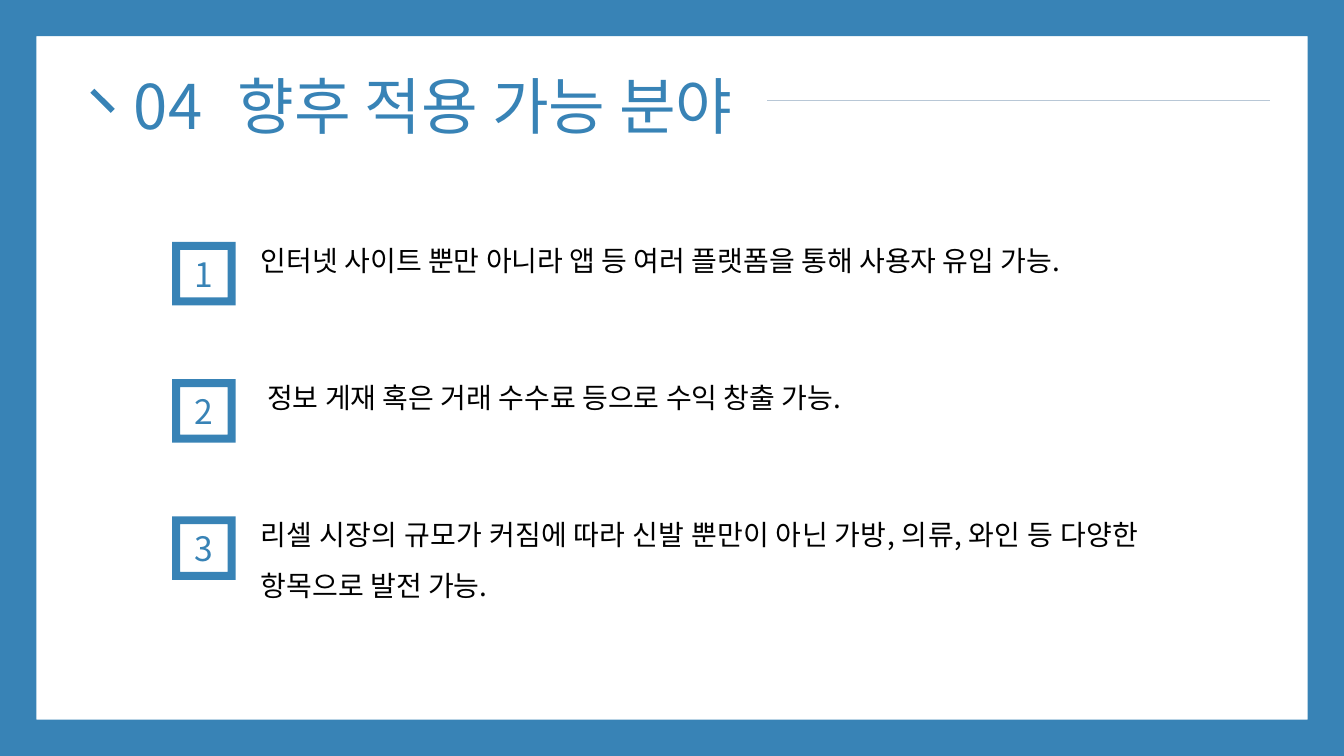
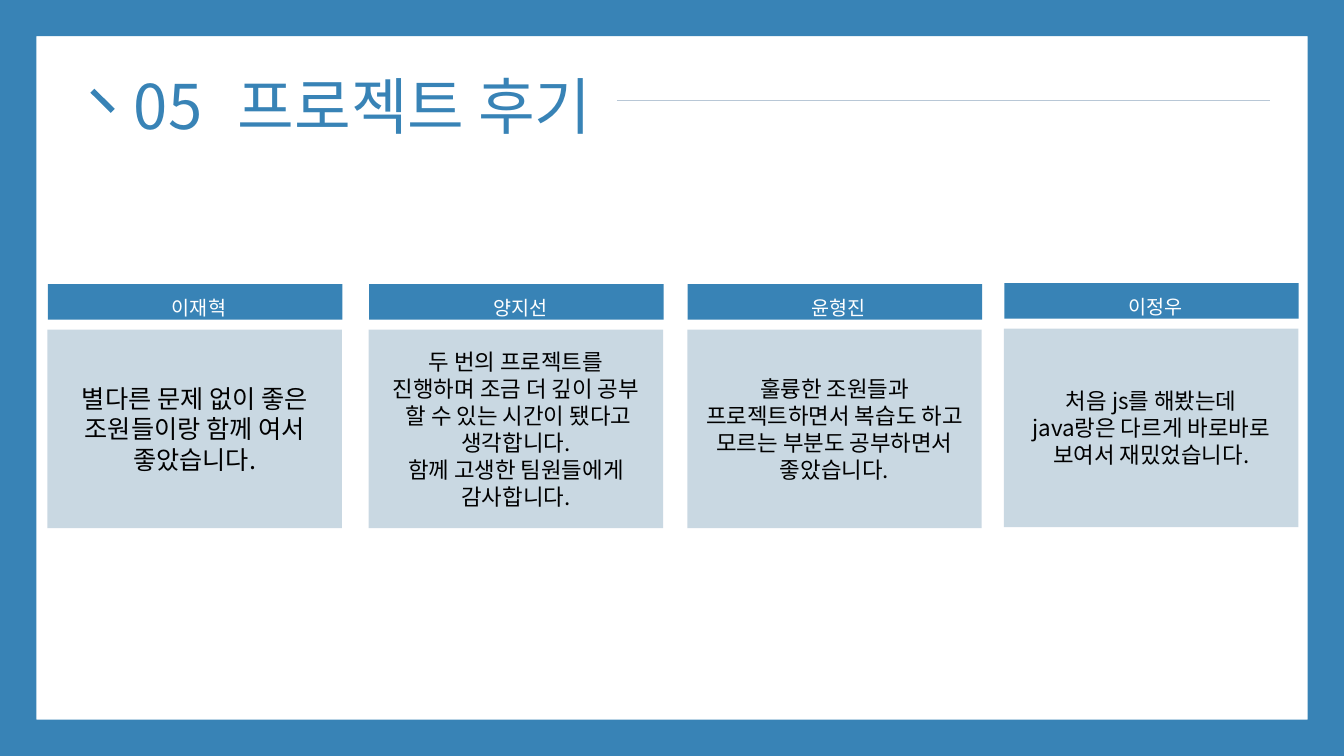
from dataclasses import dataclass
from typing import Any

from lxml.etree import SubElement
from pptx import Presentation
from pptx.dml.color import RGBColor
from pptx.enum.shapes import MSO_CONNECTOR, MSO_SHAPE
from pptx.enum.text import MSO_ANCHOR, MSO_AUTO_SIZE, PP_ALIGN
from pptx.oxml.ns import qn
from pptx.util import Pt

BLUE = RGBColor(0x38, 0x83, 0xB6)
PALE = RGBColor(0xA0, 0xBB, 0xCC)
GREY = RGBColor(0xB8, 0xC7, 0xD6)
BLACK = RGBColor(0, 0, 0)
WHITE = RGBColor(0xFF, 0xFF, 0xFF)
FONT = "Noto Sans CJK KR"

HEAD = {"alignment": PP_ALIGN.LEFT, "line_spacing": 0.9}
MID = {"alignment": PP_ALIGN.CENTER}
NAME = {"alignment": PP_ALIGN.CENTER, "line_spacing": 1.7, "space_before": Pt(10)}
BODY = {"alignment": PP_ALIGN.JUSTIFY, "line_spacing": 1.5, "space_before": Pt(10)}


@dataclass
class Box:
    left: float
    top: float
    width: float
    height: float

    def pts(self) -> tuple:
        return Pt(self.left), Pt(self.top), Pt(self.width), Pt(self.height)


@dataclass
class Point:
    text: str
    width: float = 662.4


@dataclass
class Card:
    name: str
    lines: list[str]
    left: float
    top: float = 203
    size: float = 16


POINTS = [
    Point("인터넷 사이트 뿐만 아니라 앱 등 여러 플랫폼을 통해 사용자 유입 가능."),
    Point(" 정보 게재 혹은 거래 수수료 등으로 수익 창출 가능."),
    Point("리셀 시장의 규모가 커짐에 따라 신발 뿐만이 아닌 가방, 의류, 와인 등 "
          "다양한 항목으로 발전 가능.", 640.8),
]
CARDS = [
    Card("이재혁", ["별다른 문제 없이 좋은 조원들이랑 함께 여서 좋았습니다."], 34.2, size=18),
    Card("양지선", ["두 번의 프로젝트를", "진행하며 조금 더 깊이 공부",
                 " 할 수 있는 시간이 됐다고 생각합니다.",
                 "함께 고생한 팀원들에게", "감사합니다."], 263.7),
    Card("윤형진", ["훌륭한 조원들과 프로젝트하면서 복습도 하고 "
                 "모르는 부분도 공부하면서 좋았습니다."], 491.2),
    Card("이정우", ["처음 js를 해봤는데",
                 "java랑은 다르게 바로바로 보여서 재밌었습니다."], 717.4, 202.2),
]


def style(item: Any, look: dict) -> None:
    for key, val in look.items():
        setattr(item, key, val)


def write(shape: Any, lines: list[str], size: float, ink: RGBColor,
          look: dict, anchor: Any = MSO_ANCHOR.MIDDLE) -> None:
    frame = shape.text_frame
    style(frame, {"word_wrap": True, "auto_size": MSO_AUTO_SIZE.NONE,
                  "vertical_anchor": anchor})
    for spot, line in enumerate(lines):
        para = frame.add_paragraph() if spot else frame.paragraphs[0]
        style(para, look)
        run = para.add_run()
        run.text = line
        style(run.font, {"name": FONT, "size": Pt(size)})
        run.font.color.rgb = ink
        SubElement(run.font._element, qn("a:ea"), typeface=FONT)


def label(slide: Any, box: Box, text: str, size: float, ink: RGBColor,
          look: dict, anchor: Any = MSO_ANCHOR.TOP) -> None:
    write(slide.shapes.add_textbox(*box.pts()), [text], size, ink, look, anchor)


def block(slide: Any, kind: Any, box: Box, fill: RGBColor = BLUE) -> Any:
    shape = slide.shapes.add_shape(kind, *box.pts())
    shape.shadow.inherit = False
    shape.fill.solid()
    shape.fill.fore_color.rgb = fill
    shape.line.fill.background()
    return shape


def rule(slide: Any, start: tuple, end: tuple, ink: RGBColor, width: float) -> None:
    line = slide.shapes.add_connector(
        MSO_CONNECTOR.STRAIGHT, *(Pt(val) for val in start + end))
    line.line.color.rgb = ink
    line.line.width = Pt(width)
    SubElement(line._element.spPr, qn("a:effectLst"))


def page(deck: Any, num: str, title: str, width: float, start: float) -> Any:
    slide = deck.slides.add_slide(deck.slide_layouts[5])
    rule(slide, (start, 72), (907.2, 72), GREY, 0.5)
    edge = block(slide, MSO_SHAPE.FRAME, Box(0, 0, 960, 540))
    edge.adjustments[0] = 0.048
    label(slide, Box(88.6, 26, 102, 104.4), num, 44, BLUE, HEAD, MSO_ANCHOR.MIDDLE)
    rule(slide, (66, 64.8), (80.6, 79.2), BLUE, 4)
    head = slide.shapes.title
    spot = Box(162.7, 26, width, 104.4).pts()
    style(head, dict(zip(("left", "top", "width", "height"), spot)))
    write(head, [title], 44, BLUE, HEAD)
    return slide


def draw_point(slide: Any, num: int, point: Point) -> None:
    top = 158.4 + 98 * (num - 1)
    label(slide, Box(179.3, top, point.width, 75), point.text, 20, BLACK, BODY)
    badge = block(slide, MSO_SHAPE.FRAME, Box(123, top + 14.4, 45.4, 45.4))
    write(badge, [str(num)], 24, BLUE, MID)


def draw_card(slide: Any, card: Card) -> None:
    block(slide, MSO_SHAPE.RECTANGLE, Box(card.left, card.top, 210.3, 25.4))
    pane = block(slide, MSO_SHAPE.RECTANGLE,
                 Box(card.left - 0.3, card.top + 32.5, 210.3, 141.8), PALE)
    tint = pane._element.spPr.find(qn("a:solidFill"))[0]
    SubElement(tint, qn("a:alpha"), val="56000")
    write(pane, card.lines, card.size, BLACK, MID)
    label(slide, Box(card.left + 25.5, card.top - 7.2, 165, 39.6),
          card.name, 14, WHITE, NAME)


def main() -> None:
    deck = Presentation()
    style(deck, {"slide_width": Pt(960), "slide_height": Pt(540)})
    plan = page(deck, "04", "향후 적용 가능 분야", 692, 547.9)
    for num, point in enumerate(POINTS, 1):
        draw_point(plan, num, point)
    review = page(deck, "05", "프로젝트 후기", 317.5, 440.6)
    for card in CARDS:
        draw_card(review, card)
    deck.save("out.pptx")


if __name__ == "__main__":
    main()
